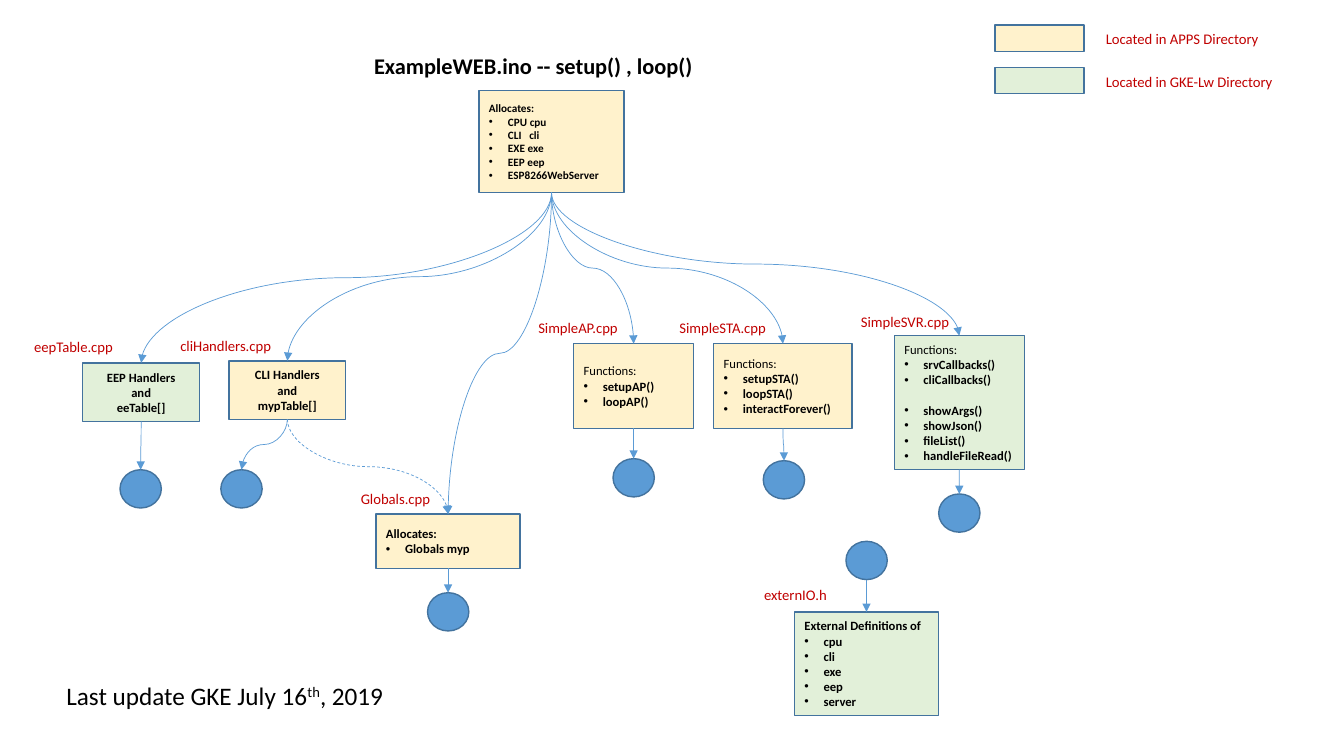
"""Build the ExampleWEB.ino module map with its files, circles and curved arrows."""
from dataclasses import dataclass

from lxml import etree
from pptx import Presentation
from pptx.dml.color import RGBColor
from pptx.enum.dml import MSO_LINE
from pptx.enum.shapes import MSO_AUTO_SHAPE_TYPE as Preset, MSO_CONNECTOR
from pptx.enum.text import MSO_ANCHOR, PP_ALIGN
from pptx.oxml.ns import qn
from pptx.shapes.autoshape import Shape
from pptx.util import Inches, Pt

COLORS = {
    "apps": "FFF2CC", "library": "E2F0D9", "circle": "5B9BD5",
    "border": "43739E", "arrow": "5B9BD5", "label": "C00000", "text": "000000",
}
CIRCLE_W, CIRCLE_H = 0.41, 0.38


@dataclass(frozen=True)
class Module:
    name: str
    left: float
    top: float
    width: float
    height: float
    fill: str
    heading: str
    bullets: tuple[str, ...] = ()
    size: float = 9
    bold_heading: bool = True
    gap_before: str = ""


@dataclass(frozen=True)
class Label:
    text: str
    left: float
    top: float
    width: float
    height: float = 0.28
    size: float = 10.5
    color: str = "label"
    bold: bool = False
    align: PP_ALIGN = PP_ALIGN.LEFT


@dataclass(frozen=True)
class Circle:
    module: str
    left: float
    top: float


MODULES = [
    Module("main", 4.75, 0.9, 1.44, 1.01, "apps", "Allocates:",
           ("CPU cpu", "CLI   cli", "EXE exe", "EEP eep", "ESP8266WebServer"), size=8),
    Module("eep", 0.82, 3.6, 1.16, 0.58, "library", "EEP Handlers\nand\neeTable[]"),
    Module("cli", 2.27, 3.58, 1.16, 0.58, "apps", "CLI Handlers\nand\nmypTable[]"),
    Module("globals", 3.73, 5.1, 1.43, 0.54, "apps", "Allocates:", ("Globals myp",)),
    Module("ap", 5.69, 3.41, 1.19, 0.84, "apps", "Functions:",
           ("setupAP()", "loopAP()"), bold_heading=False),
    Module("sta", 7.08, 3.41, 1.37, 0.84, "apps", "Functions:",
           ("setupSTA()", "loopSTA()", "interactForever()"), bold_heading=False),
    Module("svr", 8.87, 3.33, 1.29, 1.33, "library", "Functions:",
           ("srvCallbacks()", "cliCallbacks()", "showArgs()", "showJson()", "fileList()",
            "handleFileRead()"), bold_heading=False, gap_before="showArgs()"),
    Module("extern", 7.88, 6.07, 1.43, 1.03, "library", "External Definitions of",
           ("cpu", "cli", "exe", "eep", "server")),
]
LABELS = [
    Label("ExampleWEB.ino -- setup() , loop()", 3.5, 0.47, 3.58, 0.37, 16, "text", True,
          PP_ALIGN.CENTER),
    Label("eepTable.cpp", 0.24, 3.3, 1.14),
    Label("cliHandlers.cpp", 1.69, 3.29, 1.14),
    Label("Globals.cpp", 3.48, 4.81, 0.98),
    Label("SimpleAP.cpp", 5.24, 3.11, 1.15),
    Label("SimpleSTA.cpp", 6.64, 3.11, 1.15),
    Label("SimpleSVR.cpp", 8.44, 3.05, 1.17),
    Label("externIO.h", 7.48, 5.76, 1.11),
]
CIRCLES = [
    Circle("eep", 1.19, 4.66), Circle("cli", 2.19, 4.66), Circle("globals", 4.24, 5.88),
    Circle("ap", 6.08, 4.55), Circle("sta", 7.57, 4.57), Circle("svr", 9.31, 4.9),
]
LEGEND = [("apps", "Located in APPS Directory", 0.25),
          ("library", "Located in GKE-Lw Directory", 0.67)]

prs = Presentation()
prs.slide_width, prs.slide_height = Inches(13.33), Inches(7.5)
slide = prs.slides.add_slide(prs.slide_layouts[6])


def rgb(key: str) -> RGBColor:
    return RGBColor.from_string(COLORS[key])


def add_run(paragraph, text: str, size: float, color: str = "text", bold: bool = False):
    run = paragraph.add_run()
    run.text = text
    run.font.name, run.font.size, run.font.bold = "Calibri", Pt(size), bold
    run.font.color.rgb = rgb(color)
    return run


def add_preset(preset: Preset, left: float, top: float, width: float, height: float,
               fill: str) -> Shape:
    shape = slide.shapes.add_shape(preset, Inches(left), Inches(top), Inches(width),
                                   Inches(height))
    shape.shadow.inherit = False
    shape.fill.solid()
    shape.fill.fore_color.rgb = rgb(fill)
    shape.line.color.rgb = rgb("border")
    shape.line.width = Pt(1)
    return shape


def add_circle(left: float, top: float) -> Shape:
    return add_preset(Preset.OVAL, left, top, CIRCLE_W, CIRCLE_H, "circle")


def add_module(module: Module) -> Shape:
    shape = add_preset(Preset.RECTANGLE, module.left, module.top, module.width,
                       module.height, module.fill)
    frame = shape.text_frame
    frame.word_wrap = True
    frame.vertical_anchor = MSO_ANCHOR.MIDDLE
    headings = module.heading.split("\n")
    for index, text in enumerate((*headings, *module.bullets)):
        paragraph = frame.add_paragraph() if index else frame.paragraphs[0]
        paragraph.alignment = PP_ALIGN.LEFT if module.bullets else PP_ALIGN.CENTER
        is_bullet = index >= len(headings)
        if text == module.gap_before:
            paragraph.space_before = Pt(11)
        if is_bullet:
            props = paragraph._p.get_or_add_pPr()
            props.set("marL", str(Inches(0.19)))
            props.set("indent", str(-Inches(0.19)))
            etree.SubElement(props, qn("a:buFont")).set("typeface", "Arial")
            etree.SubElement(props, qn("a:buChar")).set("char", "•")
        add_run(paragraph, text, module.size, bold=is_bullet or module.bold_heading)
    return shape


def add_label(label: Label, wrap: bool = True):
    box = slide.shapes.add_textbox(Inches(label.left), Inches(label.top),
                                   Inches(label.width), Inches(label.height))
    box.text_frame.word_wrap = wrap
    paragraph = box.text_frame.paragraphs[0]
    paragraph.alignment = label.align
    add_run(paragraph, label.text, label.size, label.color, label.bold)
    return paragraph


def add_arrow(source: Shape, target: Shape, dashed: bool = False) -> None:
    x1, y1 = source.left + source.width // 2, source.top + source.height
    x2, y2 = target.left + target.width // 2, target.top
    arrow = slide.shapes.add_connector(MSO_CONNECTOR.CURVE, x1, y1, x2, y2)
    arrow.begin_connect(source, 2)
    arrow.end_connect(target, 0)
    if source.auto_shape_type == Preset.OVAL:
        arrow._element.find(".//" + qn("a:stCxn")).set("idx", "4")
    arrow.width, arrow.height = y2 - y1, abs(x2 - x1)
    arrow.left = (x1 + x2 - arrow.width) // 2
    arrow.top = (y1 + y2 - arrow.height) // 2
    leftward = x2 < x1
    props = arrow._element.spPr
    transform = props.find(qn("a:xfrm"))
    transform.set("rot", str((90 if leftward else 270) * 60000))
    transform.set("flipH", "0" if leftward else "1")
    transform.set("flipV", "0")
    arrow.line.color.rgb = rgb("arrow")
    arrow.line.width = Pt(0.5)
    if dashed:
        arrow.line.dash_style = MSO_LINE.DASH
    etree.SubElement(arrow.line._get_or_add_ln(), qn("a:tailEnd")).set("type", "triangle")
    etree.SubElement(props, qn("a:effectLst"))


boxes = {module.name: add_module(module) for module in MODULES}
for name in ("eep", "cli", "globals", "ap", "sta", "svr"):
    add_arrow(boxes["main"], boxes[name])
add_arrow(boxes["cli"], boxes["globals"], dashed=True)
for circle in CIRCLES:
    add_arrow(boxes[circle.module], add_circle(circle.left, circle.top))
add_arrow(add_circle(8.39, 5.37), boxes["extern"])
for label in LABELS:
    add_label(label)
for fill, caption, top in LEGEND:
    add_preset(Preset.RECTANGLE, 9.87, top, 0.88, 0.26, fill)
    add_label(Label(caption, 10.87, top, 1.93))
update = add_label(Label("Last update GKE July 16", 0.56, 6.7, 3.4, 0.4, 18, "text"), wrap=False)
add_run(update, "th", 18).font._element.set("baseline", "30000")
add_run(update, ", 2019", 18)

prs.save("out.pptx")
